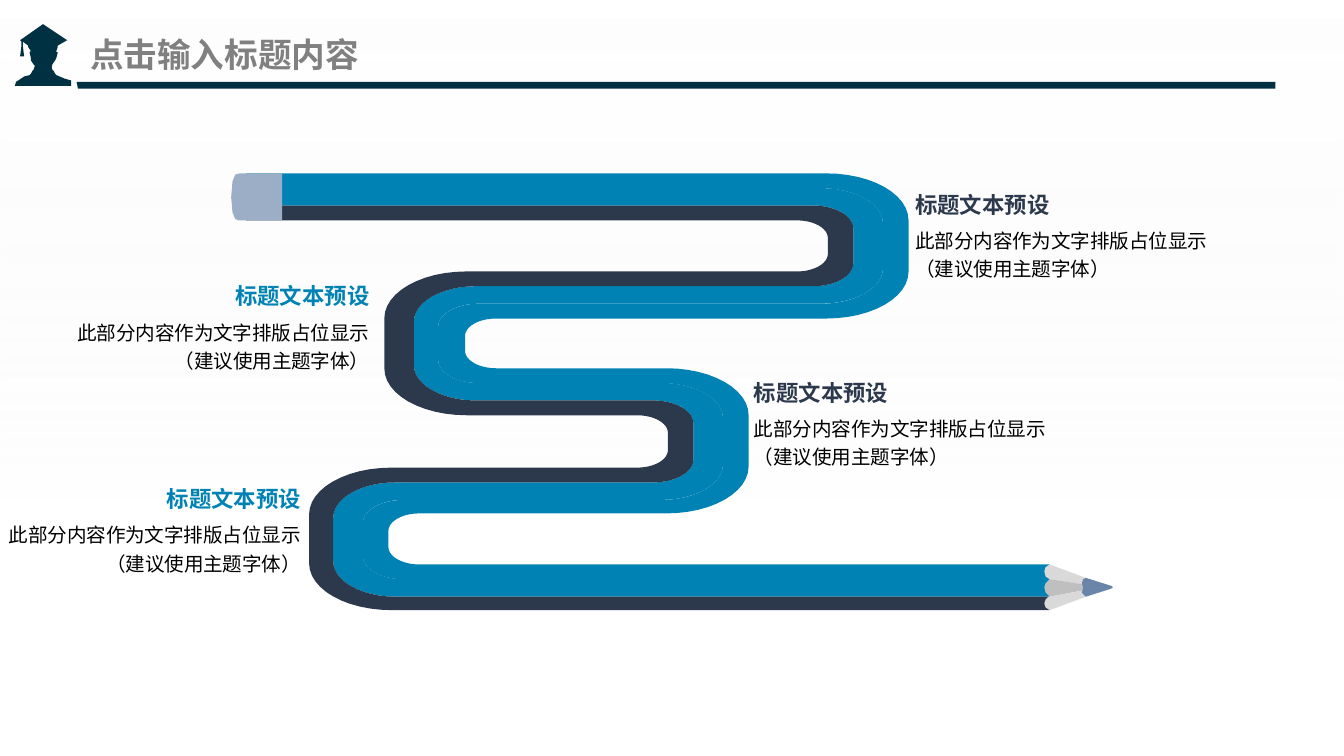
"""Build a slide with a winding pencil and four captions on a 1000-column grid."""
from copy import deepcopy
from math import cos, pi, sin

from pptx import Presentation
from pptx.dml.color import RGBColor
from pptx.enum.shapes import MSO_SHAPE
from pptx.enum.text import MSO_ANCHOR, PP_ALIGN
from pptx.oxml.ns import qn
from pptx.oxml.xmlchemy import OxmlElement
from pptx.util import Inches, Pt

COLUMNS, ROWS, CELL = 1000, 562.5, Inches(0.01)
SLIDE_WIDTH, SLIDE_HEIGHT = int(COLUMNS * CELL), int(ROWS * CELL)

THEME = {
    "navy": "003142", "blue": "0083B4", "slate": "2C394C", "eraser": "9CADC6",
    "wood": "D9D9D9", "wood_shade": "BFBFBF", "lead": "6B84A9",
    "sky": (("FFFFFF", 0, 55), ("F2F2F2", 0.71, 0)),
    "title": {"size": 18, "bold": True, "color": "808080", "name": "Noto Sans CJK SC"},
    "heading": {"size": 12, "bold": True, "name": "Arial"},
    "body": {"size": 10.5, "bold": False, "color": "000000", "name": "Arial"},
    "east_asian": "Noto Sans CJK SC",
}

TITLE = "点击输入标题内容"
HEADING = "标题文本预设"
BODY = "此部分内容作为文字排版占位显示\n（建议使用主题字体）"
CAPTIONS = [
    (681, 137, PP_ALIGN.LEFT, "slate"),
    (561, 277, PP_ALIGN.LEFT, "slate"),
    (56, 205, PP_ALIGN.RIGHT, "blue"),
    (5, 356, PP_ALIGN.RIGHT, "blue"),
]
CAPTION_WIDTH, HEADING_HEIGHT, BODY_HEIGHT = 219, 30, 59

RULE = [(57, 61), (949, 61), (949, 66), (58, 66)]
GRADUATE = [
    (53, 60), (48, 58.5), (42, 56), (41, 55), (40, 53), (39, 52), (38.5, 50), (39, 48),
    (41, 45), (42, 43), (43, 39), (41.7, 38.5), (42, 38), (43, 35), (43, 34), (50, 30),
    (32, 18), (15, 30), (16, 31), (16, 34), (15, 42), (18, 42), (17, 34), (17, 31),
    (21, 34), (21, 35), (23, 38), (22, 39), (23, 43), (23, 45), (25, 48), (26, 49),
    (25, 52), (24, 53), (23, 55), (22, 56), (18, 57), (12, 61), (11, 64), (53, 64),
]

PENCIL_START, PENCIL_END, CORNER_RATIO = 183, 781, 0.57
EDGES = [
    {"levels": (129, 237, 274, 382, 420), "turns": (676, 346, 557, 289), "radii": (61, 23)},
    {"levels": (140, 226, 285, 372, 431), "turns": (657, 326, 538, 270), "radii": (46, 30)},
    {"levels": (153, 213, 298, 359, 444), "turns": (635, 308, 516, 248), "radii": (30, 46)},
    {"levels": (164, 202, 309, 348, 454), "turns": (616, 286, 497, 230), "radii": (23, 61)},
]
STRIPES = [(1, 2, "blue"), (0, 1, "blue"), (2, 3, "slate")]
PENCIL_PARTS = [
    ("eraser", [(178, 129), (175, 130), (173, 135), (172, 147), (173, 158), (175, 163),
                (178, 164), (210, 164), (210, 129)]),
    ("wood", [(781, 420), (778, 422), (777, 425), (778, 429), (781, 431), (807, 435), (808, 430)]),
    ("wood_shade", [(807, 435), (781, 431), (778, 434), (777, 437), (778, 441), (781, 444),
                    (808, 439)]),
    ("wood", [(777, 449), (778, 452), (781, 454), (808, 444), (808, 439), (780, 444), (778, 446)]),
    ("lead", [(808, 430), (827, 436), (828, 437), (827, 438), (808, 444), (805, 441), (806, 437),
              (805, 434), (806, 431)]),
]


def add_outline(shapes, points, color):
    scaled = [(column * CELL, row * CELL) for column, row in points]
    builder = shapes.build_freeform(*scaled[0], scale=1.0)
    builder.add_line_segments(scaled[1:], close=True)
    shape = builder.convert_to_shape()
    shape.shadow.inherit = False
    shape.fill.solid()
    shape.fill.fore_color.rgb = RGBColor.from_string(THEME[color])
    shape.line.fill.background()


def trace_edge(levels, turns, radii, steps=12):
    points = [(PENCIL_START, levels[0])]
    angles = [pi / 2 * step / steps for step in range(steps + 1)]
    for index, turn in enumerate(turns):
        direction = 1 - 2 * (index % 2)
        width = radii[index % 2]
        height = width * CORNER_RATIO
        center = turn - direction * width
        top, bottom = levels[index:index + 2]
        points += [(center + direction * width * sin(angle), top + height * (1 - cos(angle)))
                   for angle in angles]
        points += [(center + direction * width * cos(angle), bottom - height * (1 - sin(angle)))
                   for angle in angles]
    return points + [(PENCIL_END, levels[-1])]


def add_text(shapes, box, text, style, align=PP_ALIGN.LEFT, spacing=None, **frame_values):
    frame = shapes.add_textbox(*(value * CELL for value in box)).text_frame
    values = {"margin_left": 0, "margin_right": 0, "margin_top": 0, "margin_bottom": 0,
              "word_wrap": True, **frame_values}
    for name, value in values.items():
        setattr(frame, name, value)
    paragraph = frame.paragraphs[0]
    paragraph.text = text
    paragraph.alignment = align
    paragraph.line_spacing = spacing
    for run in paragraph.runs:
        for name, value in {**style, "size": Pt(style["size"])}.items():
            if name == "color":
                run.font.color.rgb = RGBColor.from_string(value)
            else:
                setattr(run.font, name, value)
        east_asian = OxmlElement("a:ea")
        east_asian.set("typeface", THEME["east_asian"])
        run.font._element.append(east_asian)
    for line_break in paragraph._p.findall(qn("a:br")):
        line_break.append(deepcopy(paragraph.runs[0].font._element))


def add_background(shapes):
    shape = shapes.add_shape(MSO_SHAPE.RECTANGLE, 0, 0, SLIDE_WIDTH, SLIDE_HEIGHT)
    shape.shadow.inherit = False
    shape.line.fill.background()
    shape.fill.gradient()
    shape.fill.gradient_angle = 270
    for stop, (color, position, opacity) in zip(shape.fill.gradient_stops, THEME["sky"]):
        stop.color.rgb = RGBColor.from_string(color)
        stop.position = position
        alpha = OxmlElement("a:alpha")
        alpha.set("val", str(opacity * 1000))
        stop._gs.find(qn("a:srgbClr")).append(alpha)


def add_pencil(shapes):
    edges = [trace_edge(**edge) for edge in EDGES]
    for upper, lower, color in STRIPES:
        add_outline(shapes, edges[upper] + edges[lower][::-1], color)
    for color, points in PENCIL_PARTS:
        add_outline(shapes, points, color)


def add_caption(shapes, left, top, align, color):
    add_text(shapes, (left, top, CAPTION_WIDTH, HEADING_HEIGHT), HEADING,
             {**THEME["heading"], "color": THEME[color]}, align,
             vertical_anchor=MSO_ANCHOR.MIDDLE, word_wrap=False)
    add_text(shapes, (left, top + HEADING_HEIGHT, CAPTION_WIDTH, BODY_HEIGHT), BODY,
             THEME["body"], align, 1.2)


def main():
    presentation = Presentation()
    presentation.slide_width, presentation.slide_height = SLIDE_WIDTH, SLIDE_HEIGHT
    shapes = presentation.slides.add_slide(presentation.slide_layouts[6]).shapes
    add_background(shapes)
    add_outline(shapes, RULE, "navy")
    add_text(shapes, (67, 19, 233, 42), TITLE, THEME["title"], vertical_anchor=MSO_ANCHOR.MIDDLE,
             margin_top=5 * CELL, margin_bottom=5 * CELL)
    add_outline(shapes, GRADUATE, "navy")
    add_pencil(shapes.add_group_shape().shapes)
    for caption in CAPTIONS:
        add_caption(shapes.add_group_shape().shapes, *caption)
    presentation.save("out.pptx")


if __name__ == "__main__":
    main()
